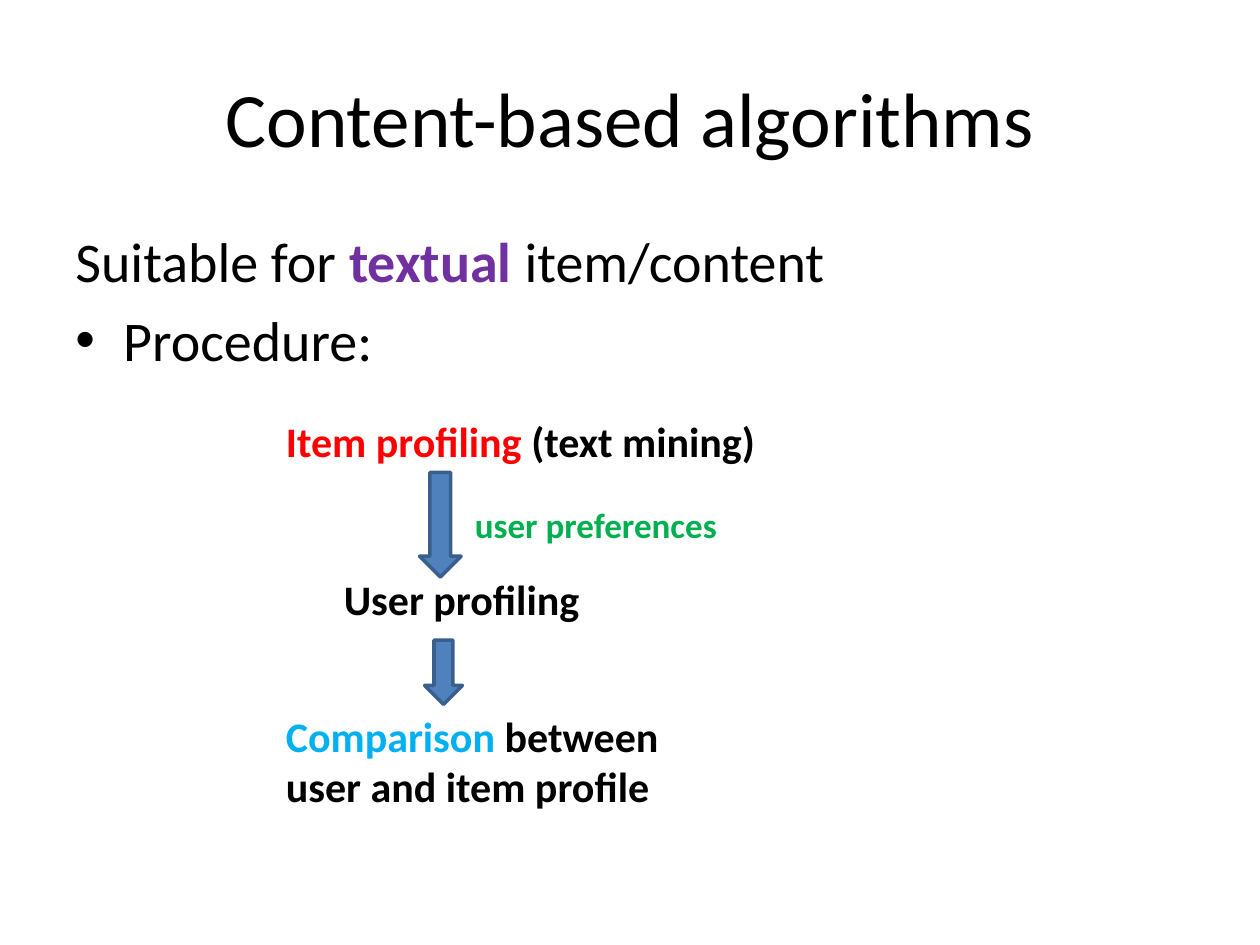
import lxml.etree
import pptx
import pptx.dml.color
import pptx.enum.shapes
import pptx.enum.text
import pptx.oxml.ns
import pptx.util
from pptx.util import Inches

COLORS = {
    "black": "000000", "purple": "7030A0", "red": "FF0000", "green": "00B050",
    "sky": "00B0F0", "arrow_fill": "4F81BD", "arrow_line": "3A5F8C",
}


def add_runs(paragraph, size, runs):
    """Add (text, color name, bold) runs to a paragraph."""
    for text, color, bold in runs:
        run = paragraph.add_run()
        run.text = text
        run.font.name = "Calibri"
        run.font.size = pptx.util.Pt(size)
        run.font.bold = bold
        run.font.color.rgb = pptx.dml.color.RGBColor.from_string(COLORS[color])


def add_text_frame(slide, left, top, width, height):
    """Add a wrapping text box and return its text frame."""
    box = slide.shapes.add_textbox(Inches(left), Inches(top), Inches(width), Inches(height))
    box.text_frame.word_wrap = True
    return box.text_frame


presentation = pptx.Presentation()
presentation.slide_width = Inches(10)
presentation.slide_height = Inches(7.5)
slide = presentation.slides.add_slide(presentation.slide_layouts[5])

# Title
title = slide.shapes.title
title.left, title.top = Inches(0.5), Inches(0.3)
title.width, title.height = Inches(9), Inches(1.25)
title.text_frame.vertical_anchor = pptx.enum.text.MSO_ANCHOR.MIDDLE
title_paragraph = title.text_frame.paragraphs[0]
title_paragraph.alignment = pptx.enum.text.PP_ALIGN.CENTER
add_runs(title_paragraph, 44, [("Content-based algorithms", "black", False)])

# Introduction
introduction = add_text_frame(slide, 0.5, 1.75, 9, 4.95)
suitability = introduction.paragraphs[0]
add_runs(suitability, 32, [
    ("Suitable for ", "black", False),
    ("textual ", "purple", True),
    ("item/content", "black", False),
])
procedure = introduction.add_paragraph()
add_runs(procedure, 32, [("Procedure:", "black", False)])
for paragraph in (suitability, procedure):
    paragraph.space_before = pptx.util.Pt(6.4)

properties = procedure._p.get_or_add_pPr()
properties.set("marL", str(Inches(0.38)))
properties.set("indent", str(-Inches(0.38)))
bullet_font = lxml.etree.SubElement(properties, pptx.oxml.ns.qn("a:buFont"))
bullet_font.set("typeface", "Arial")
bullet = lxml.etree.SubElement(properties, pptx.oxml.ns.qn("a:buChar"))
bullet.set("char", "•")

# Procedure steps
steps = [
    ((2.17, 3.25, 4.19, 0.5), 24,
     [("Item profiling ", "red", True), ("(text mining)", "black", True)]),
    ((2.63, 4.5, 3.75, 0.5), 24, [("User profiling", "black", True)]),
    ((3.67, 3.95, 3.75, 0.44), 20, [("user preferences", "green", True)]),
    ((2.17, 5.59, 3.39, 0.91), 24,
     [("Comparison", "sky", True), (" between user and item profile", "black", True)]),
]
for bounds, size, runs in steps:
    step_frame = add_text_frame(slide, *bounds)
    add_runs(step_frame.paragraphs[0], size, runs)

# Arrows between the steps
for bounds in [(3.33, 3.75, 0.33, 0.83), (3.37, 5.08, 0.3, 0.51)]:
    arrow = slide.shapes.add_shape(
        pptx.enum.shapes.MSO_SHAPE.DOWN_ARROW, *[Inches(value) for value in bounds])
    arrow.shadow.inherit = False
    arrow.fill.solid()
    arrow.fill.fore_color.rgb = pptx.dml.color.RGBColor.from_string(COLORS["arrow_fill"])
    arrow.line.color.rgb = pptx.dml.color.RGBColor.from_string(COLORS["arrow_line"])
    arrow.line.width = pptx.util.Pt(2)

presentation.save("out.pptx")
